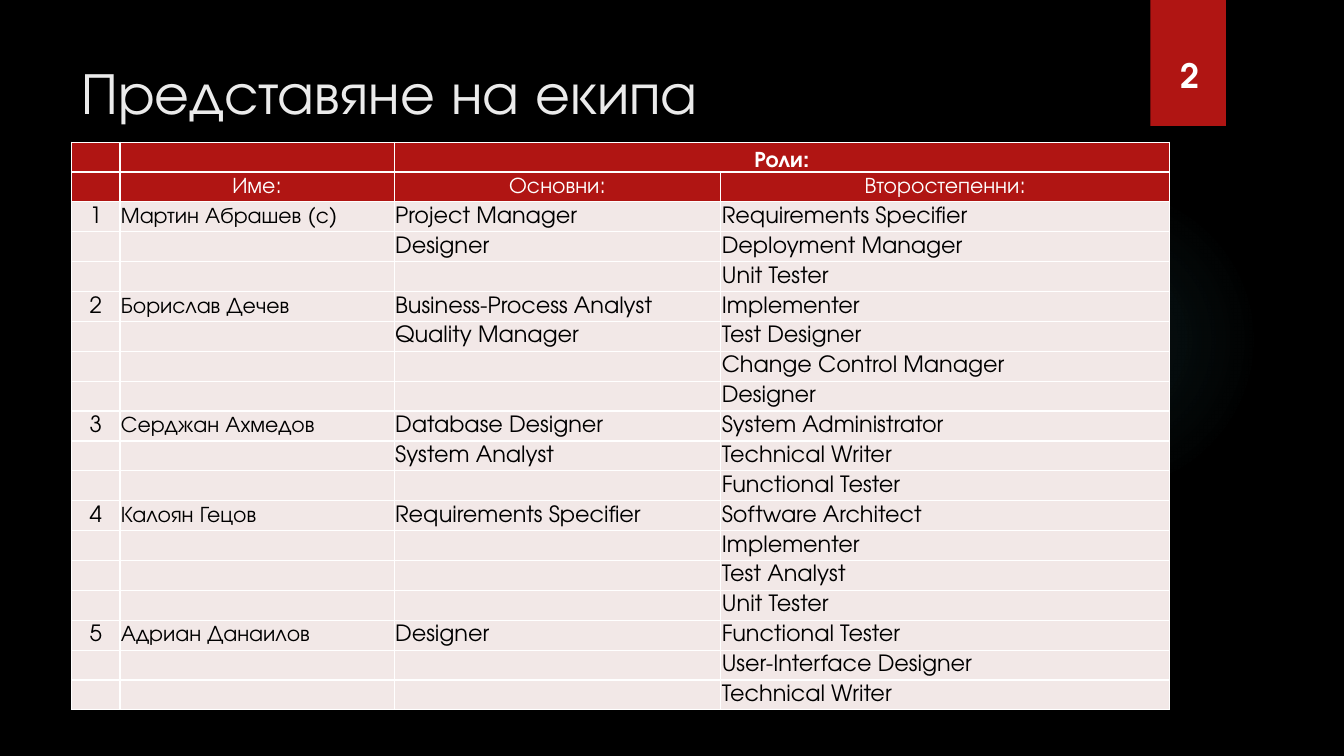
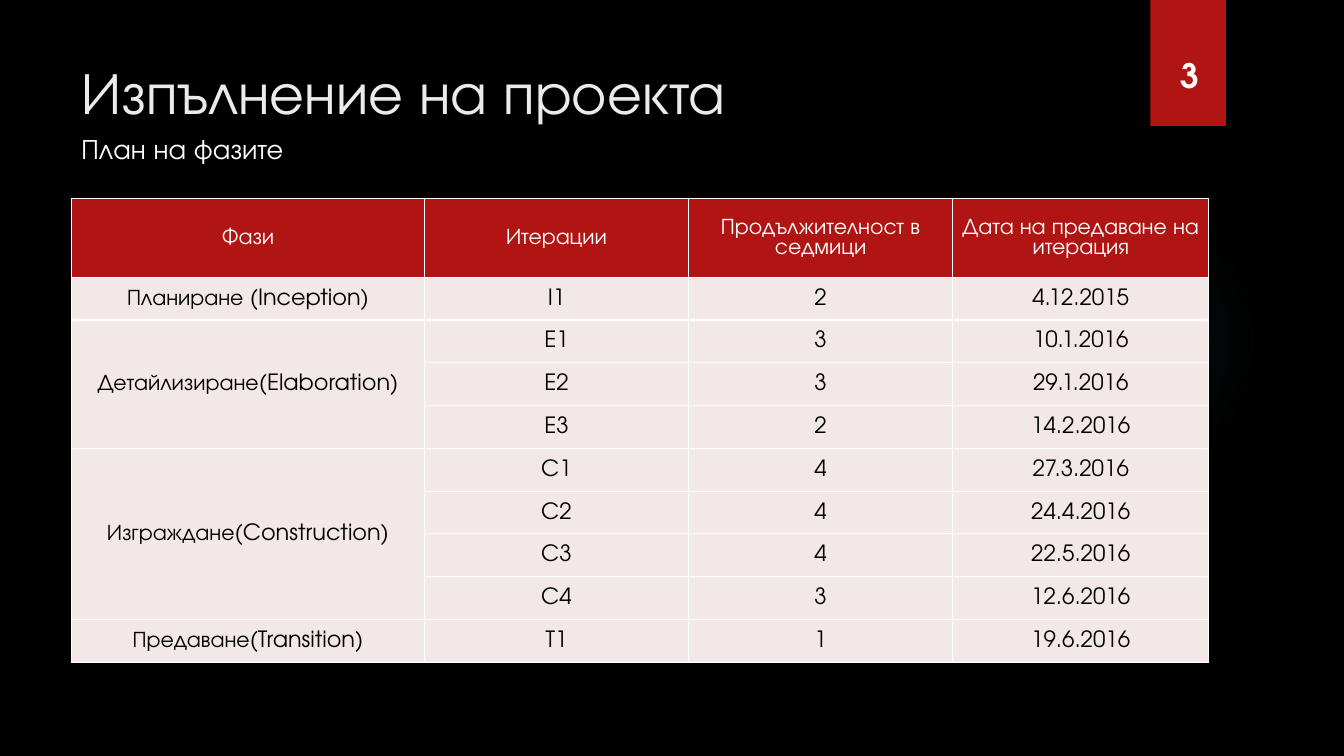
import itertools

import lxml.etree
import pptx
import pptx.dml.color
import pptx.enum.shapes
import pptx.enum.text
import pptx.oxml
import pptx.oxml.ns
import pptx.util

Inches = pptx.util.Inches
ALIGN = pptx.enum.text.PP_ALIGN
ANCHOR = pptx.enum.text.MSO_ANCHOR
SHAPE = pptx.enum.shapes.MSO_SHAPE
qn = pptx.oxml.ns.qn

FONT = "TeX Gyre Adventor"
COLORS = {
    "background": "000000",
    "accent": "B01513",
    "glow": "50B9C1",
    "title": "EBEBEB",
    "light": "FFFFFF",
    "dark": "000000",
    "body": "F2E8E7",
}
LEFT = 0.71
CELL_SIZE = 16

# Name, main roles, secondary roles
TEAM = [
    ("Мартин Абрашев (с)", ["Project Manager", "Designer"],
     ["Requirements Specifier", "Deployment Manager", "Unit Tester"]),
    ("Борислав Дечев", ["Business-Process Analyst", "Quality Manager"],
     ["Implementer", "Test Designer", "Change Control Manager", "Designer"]),
    ("Серджан Ахмедов", ["Database Designer", "System Analyst"],
     ["System Administrator", "Technical Writer", "Functional Tester"]),
    ("Калоян Гецов", ["Requirements Specifier"],
     ["Software Architect", "Implementer", "Test Analyst", "Unit Tester"]),
    ("Адриан Данаилов", ["Designer"],
     ["Functional Tester", "User-Interface Designer", "Technical Writer"]),
]

# Phase, then its iterations with weeks and delivery date
PHASES = [
    ("Планиране (Inception)", [("I1", "2", "4.12.2015")]),
    ("Детайлизиране(Elaboration)", [
        ("E1", "3", "10.1.2016"), ("E2", "3", "29.1.2016"),
        ("E3", "2", "14.2.2016")]),
    ("Изграждане(Construction)", [
        ("C1", "4", "27.3.2016"), ("C2", "4", "24.4.2016"),
        ("C3", "4", "22.5.2016"), ("C4", "3", "12.6.2016")]),
    ("Предаване(Transition)", [("T1", "1", "19.6.2016")]),
]


def rgb(color):
    return pptx.dml.color.RGBColor.from_string(COLORS[color])


def add_run(paragraph, text, size, color, bold=False):
    run = paragraph.add_run()
    run.text = text
    run.font.name = FONT
    run.font.size = pptx.util.Pt(size)
    run.font.bold = bold
    run.font.color.rgb = rgb(color)


def add_text(slide, box, text, size, color, bold=False, align=ALIGN.LEFT, wrap=True):
    frame = slide.shapes.add_textbox(*map(Inches, box)).text_frame
    frame.word_wrap = wrap
    frame.paragraphs[0].alignment = align
    add_run(frame.paragraphs[0], text, size, color, bold)


def add_plain_shape(slide, kind, box):
    shape = slide.shapes.add_shape(kind, *map(Inches, box))
    shape.shadow.inherit = False
    shape.line.fill.background()
    return shape


def add_glow(slide):
    glow = add_plain_shape(slide, SHAPE.OVAL, (9.41, 1.83, 3.08, 3.08))
    stops = "".join(
        f'<a:gs pos="{position * 1000}"><a:srgbClr val="{COLORS["glow"]}">'
        f'<a:alpha val="{opacity * 1000}"/></a:srgbClr></a:gs>'
        for position, opacity in [(0, 7), (36, 6), (69, 0)])
    gradient = pptx.oxml.parse_xml(
        f'<a:gradFill {pptx.oxml.ns.nsdecls("a")}><a:gsLst>{stops}</a:gsLst>'
        '<a:path path="circle"><a:fillToRect l="50000" t="50000" r="50000" b="50000"/>'
        '</a:path></a:gradFill>')
    glow.element.spPr.find(qn("a:prstGeom")).addnext(gradient)


def add_base_slide(deck, title, number):
    """Background, glow, title and page number tab."""
    slide = deck.slides.add_slide(deck.slide_layouts[6])
    slide.background.fill.solid()
    slide.background.fill.fore_color.rgb = rgb("background")
    add_glow(slide)
    tab = add_plain_shape(slide, SHAPE.RECTANGLE, (11.41, 0, 0.75, 1.25))
    tab.fill.solid()
    tab.fill.fore_color.rgb = rgb("accent")
    add_text(slide, (LEFT, 0.5, 10.29, 1.53), title, 42, "title")
    add_text(slide, (11.61, 0.5, 0.39, 0.5), number, 24, "light", bold=True,
             align=ALIGN.CENTER, wrap=False)
    return slide


def add_borders(cell):
    properties = cell._tc.get_or_add_tcPr()
    for side in "LRTB":
        line = lxml.etree.SubElement(properties, qn(f"a:ln{side}"), w="12700")
        fill = lxml.etree.SubElement(line, qn("a:solidFill"))
        lxml.etree.SubElement(fill, qn("a:srgbClr"), val=COLORS["light"])


def fill_cell(cell, text, header, align):
    add_borders(cell)
    cell.fill.solid()
    cell.fill.fore_color.rgb = rgb("accent" if header else "body")
    cell.margin_left = cell.margin_right = cell.margin_top = Inches(0.01)
    cell.margin_bottom = 0
    cell.vertical_anchor = ANCHOR.MIDDLE
    paragraph = cell.text_frame.paragraphs[0]
    paragraph.alignment = align
    if text:
        add_run(paragraph, text, CELL_SIZE, "light" if header else "dark")
    else:
        # Keeps empty cells from stretching their row
        lxml.etree.SubElement(paragraph._p, qn("a:endParaRPr"), sz=str(CELL_SIZE * 100))


def add_grid(slide, top, widths, heights, rows, header_rows, centered):
    frame = slide.shapes.add_table(
        len(rows), len(widths), Inches(LEFT), Inches(top),
        Inches(sum(widths)), Inches(sum(heights)))
    table = frame.table
    table.first_row = table.horz_banding = False
    for column, width in zip(table.columns, widths):
        column.width = Inches(width)
    for row, height in zip(table.rows, heights):
        row.height = Inches(height)
    for r, texts in enumerate(rows):
        header = r < header_rows
        for c, text in enumerate(texts):
            align = ALIGN.CENTER if header or c in centered else ALIGN.LEFT
            fill_cell(table.cell(r, c), text, header, align)
    return table


def add_team_slide(deck):
    slide = add_base_slide(deck, "Представяне на екипа", "2")
    rows = [("", "", "Роли:", ""), ("", "Име:", "Основни:", "Второстепенни:")]
    for number, (name, main_roles, other_roles) in enumerate(TEAM, 1):
        rows += itertools.zip_longest(
            [str(number)], [name], main_roles, other_roles, fillvalue="")
    heights = [5.64 / len(rows)] * len(rows)
    table = add_grid(slide, 1.41, [0.48, 2.72, 3.24, 4.45], heights, rows,
                     header_rows=2, centered={0})
    roles = table.cell(0, 2)
    roles.merge(table.cell(0, 3))
    roles.vertical_anchor = ANCHOR.BOTTOM
    roles.text_frame.paragraphs[0].runs[0].font.bold = True


def add_plan_slide(deck):
    slide = add_base_slide(deck, "Изпълнение на проекта", "3")
    add_text(slide, (LEFT, 1.26, 5.69, 0.44), "План на фазите", 20, "light")
    rows = [("Фази", "Итерации", "Продължителност в седмици",
             "Дата на предаване на итерация")]
    spans = []
    for phase, iterations in PHASES:
        spans.append((len(rows), len(rows) + len(iterations) - 1))
        for i, iteration in enumerate(iterations):
            rows.append(("" if i else phase, *iteration))
    body_rows = len(rows) - 1
    heights = [0.78] + [(4.6 - 0.78) / body_rows] * body_rows
    table = add_grid(slide, 1.97, [3.5, 2.62, 2.62, 2.54], heights, rows,
                     header_rows=1, centered={0, 1, 2, 3})
    for first, last in spans:
        if last > first:
            table.cell(first, 0).merge(table.cell(last, 0))


def main():
    deck = pptx.Presentation()
    deck.slide_width = Inches(13.33)
    deck.slide_height = Inches(7.5)
    add_team_slide(deck)
    add_plan_slide(deck)
    deck.save("out.pptx")


if __name__ == "__main__":
    main()
